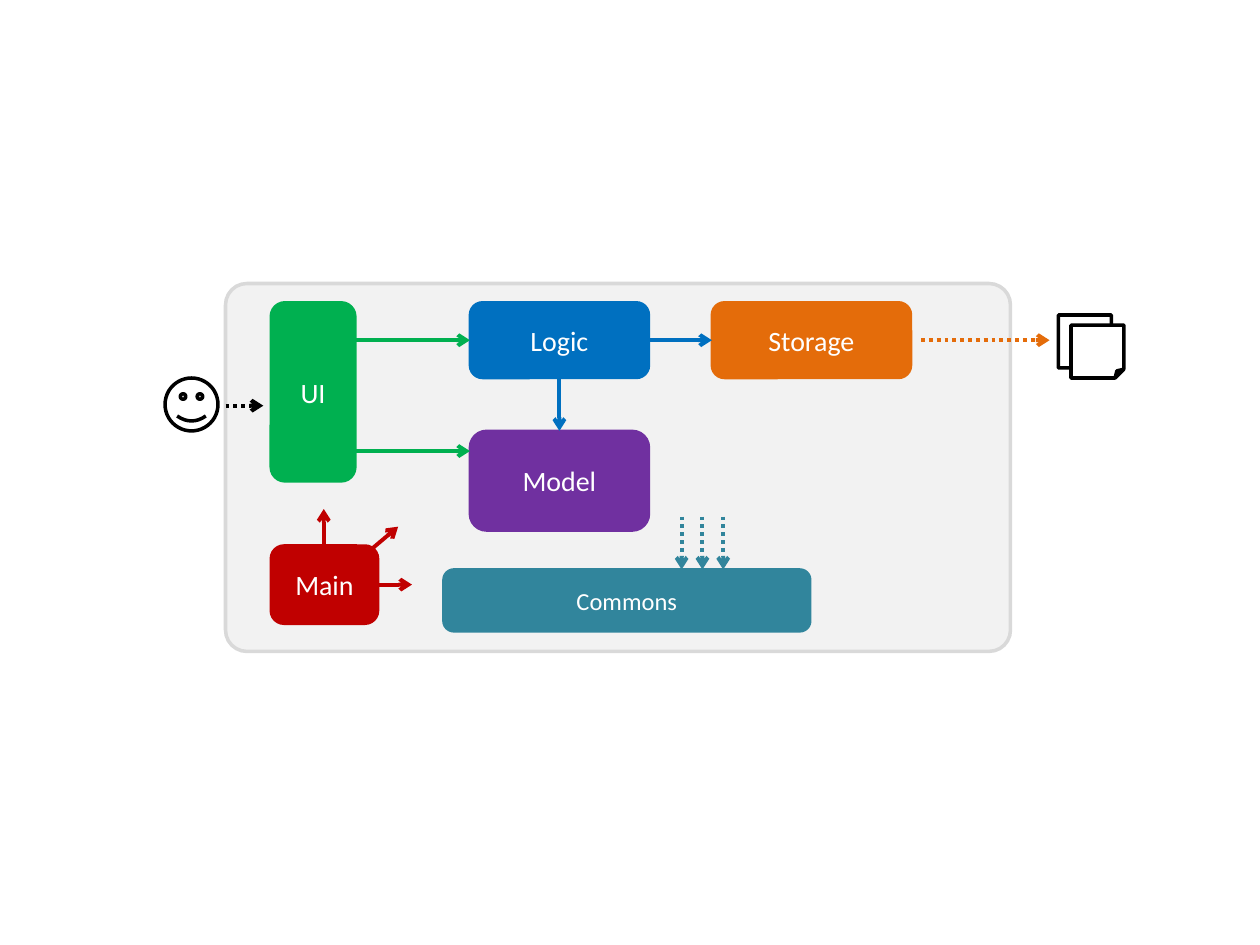
from typing import NamedTuple, Optional

from lxml.etree import SubElement
from pptx import Presentation
from pptx.dml.color import RGBColor
from pptx.enum.dml import MSO_LINE
from pptx.enum.shapes import MSO_CONNECTOR, MSO_SHAPE
from pptx.enum.text import MSO_ANCHOR, PP_ALIGN
from pptx.oxml.ns import qn
from pptx.shapes.autoshape import Shape
from pptx.slide import Slide
from pptx.util import Inches, Pt

COLORS = {
    "panel": "F2F2F2",
    "border": "D9D9D9",
    "ui": "00B050",
    "logic": "0070C0",
    "storage": "E46C0A",
    "model": "7030A0",
    "commons": "31859C",
    "main": "C00000",
    "white": "FFFFFF",
    "black": "000000",
}
TOP, BOTTOM, LEFT, RIGHT = 0, 2, 1, 3
ICON_SIZE = 0.42


class Component(NamedTuple):
    name: str
    x: float
    y: float
    w: float
    h: float
    color: str
    size: int = 16


class Joint(NamedTuple):
    component: str
    side: int


class Arrow(NamedTuple):
    x1: float
    y1: float
    x2: float
    y2: float
    color: str
    dotted: bool = False
    begin: Optional[Joint] = None
    end: Optional[Joint] = None


class Icon(NamedTuple):
    kind: MSO_SHAPE
    x: float
    y: float


COMPONENTS = [
    Component("UI", 2.15, 2.4, 0.67, 1.42, "ui"),
    Component("Logic", 3.73, 2.4, 1.42, 0.6, "logic"),
    Component("Storage", 5.65, 2.4, 1.58, 0.6, "storage"),
    Component("Model", 3.73, 3.42, 1.42, 0.79, "model"),
    Component("Commons", 3.52, 4.52, 2.91, 0.49, "commons", 14),
    Component("Main", 2.15, 4.33, 0.85, 0.62, "main"),
]

ARROWS = [
    Arrow(2.81, 2.7, 3.73, 2.7, "ui", end=Joint("Logic", LEFT)),
    Arrow(2.81, 3.58, 3.73, 3.58, "ui"),
    Arrow(4.44, 3, 4.44, 3.42, "logic",
          begin=Joint("Logic", BOTTOM), end=Joint("Model", TOP)),
    Arrow(5.15, 2.7, 5.65, 2.7, "logic",
          begin=Joint("Logic", RIGHT), end=Joint("Storage", LEFT)),
    Arrow(1.79, 3.22, 2.09, 3.22, "black", dotted=True),
    Arrow(7.31, 2.7, 8.33, 2.7, "storage", dotted=True),
    Arrow(3, 4.64, 3.27, 4.64, "main", begin=Joint("Main", RIGHT)),
    Arrow(2.84, 4.45, 3.16, 4.18, "main"),
    Arrow(2.57, 4.37, 2.57, 4.04, "main"),
]
# Three evenly spaced arrows drop onto Commons
ARROWS += [Arrow(x, 4.1, x, 4.52, "commons", dotted=True)
           for x in (5.41 + 0.165 * i for i in range(3))]

ICONS = [
    Icon(MSO_SHAPE.SMILEY_FACE, 1.31, 3),
    Icon(MSO_SHAPE.FOLDED_CORNER, 8.4, 2.5),
    Icon(MSO_SHAPE.FOLDED_CORNER, 8.5, 2.58),
]


def rgb(color: str) -> RGBColor:
    return RGBColor.from_string(COLORS[color])


def add_outlined(s: Slide, kind: MSO_SHAPE, x: float, y: float, w: float,
                 h: float, fill: str, line: str, width: float) -> Shape:
    sp = s.shapes.add_shape(kind, Inches(x), Inches(y), Inches(w), Inches(h))
    sp.shadow.inherit = False
    sp.fill.solid()
    sp.fill.fore_color.rgb = rgb(fill)
    sp.line.color.rgb = rgb(line)
    sp.line.width = Pt(width)
    return sp


def add_component(s: Slide, c: Component) -> Shape:
    sp = add_outlined(s, MSO_SHAPE.ROUNDED_RECTANGLE, c.x, c.y, c.w, c.h,
                      c.color, c.color, 1.5)
    tf = sp.text_frame
    tf.vertical_anchor = MSO_ANCHOR.MIDDLE
    p = tf.paragraphs[0]
    p.alignment = PP_ALIGN.CENTER
    r = p.add_run()
    r.text = c.name
    r.font.name = "Calibri"
    r.font.size = Pt(c.size)
    r.font.color.rgb = rgb("white")
    return sp


def add_arrow(s: Slide, a: Arrow, boxes: dict[str, Shape]) -> None:
    cxn = s.shapes.add_connector(MSO_CONNECTOR.STRAIGHT, Inches(a.x1),
                                 Inches(a.y1), Inches(a.x2), Inches(a.y2))
    if a.begin:
        cxn.begin_connect(boxes[a.begin.component], a.begin.side)
    if a.end:
        cxn.end_connect(boxes[a.end.component], a.end.side)
    cxn.line.color.rgb = rgb(a.color)
    cxn.line.width = Pt(2.25)
    if a.dotted:
        cxn.line.dash_style = MSO_LINE.ROUND_DOT
    sp_pr = cxn._element.spPr
    SubElement(sp_pr.find(qn("a:ln")), qn("a:tailEnd"), type="arrow")
    SubElement(sp_pr, qn("a:effectLst"))


def main() -> None:
    prs = Presentation()
    prs.slide_width, prs.slide_height = Inches(10), Inches(7.5)
    s = prs.slides.add_slide(prs.slide_layouts[6])

    panel = add_outlined(s, MSO_SHAPE.ROUNDED_RECTANGLE, 1.79, 2.25, 6.23,
                         2.92, "panel", "border", 2)
    panel.adjustments[0] = 0.058
    boxes = {c.name: add_component(s, c) for c in COMPONENTS}
    for arrow in ARROWS:
        add_arrow(s, arrow, boxes)
    for icon in ICONS:
        add_outlined(s, icon.kind, icon.x, icon.y, ICON_SIZE, ICON_SIZE,
                     "white", "black", 2)
    prs.save("out.pptx")


if __name__ == "__main__":
    main()
